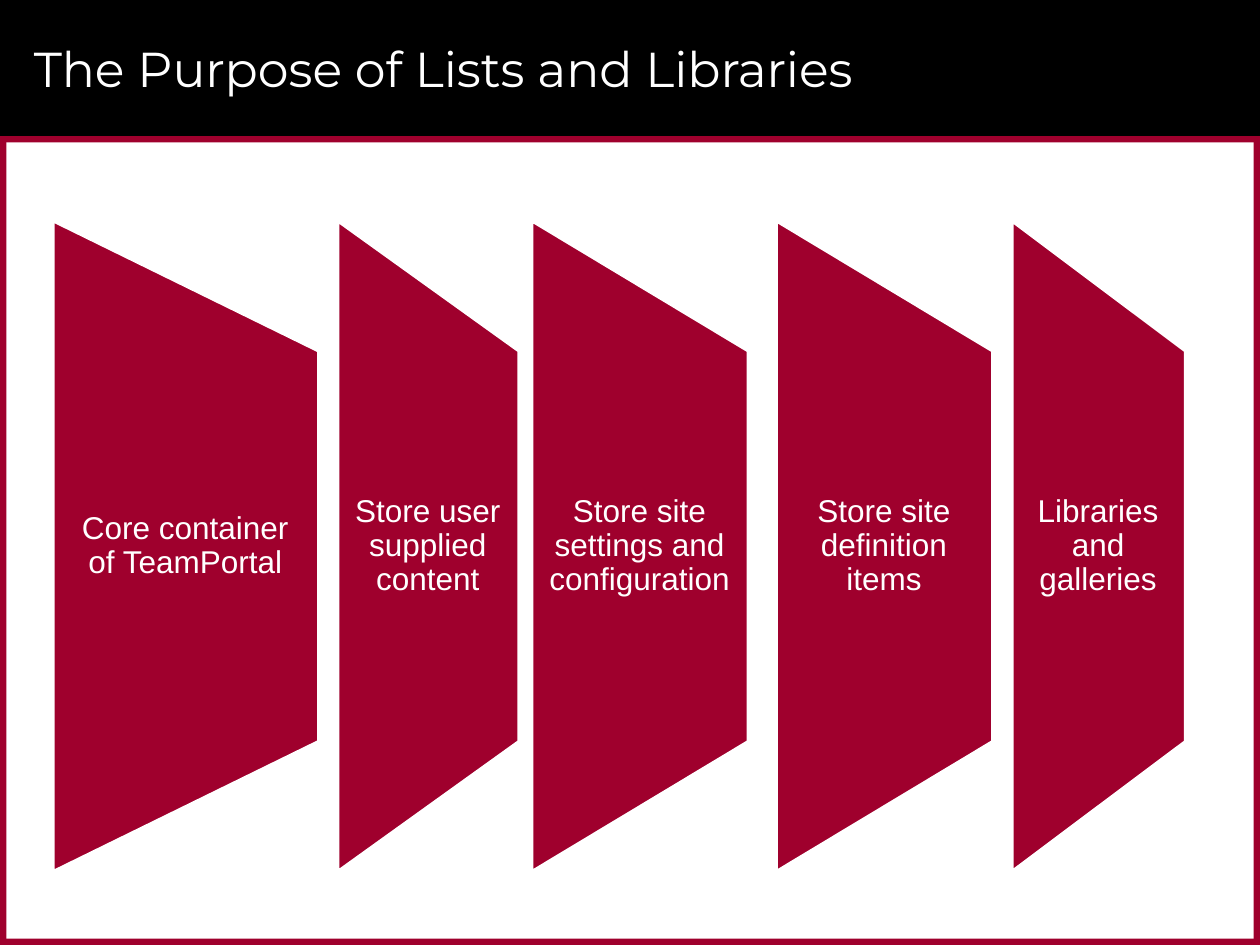
from dataclasses import dataclass

from pptx import Presentation
from pptx.dml.color import RGBColor
from pptx.enum.shapes import MSO_SHAPE
from pptx.enum.text import MSO_ANCHOR, PP_ALIGN
from pptx.slide import Slide
from pptx.util import Inches, Pt


def color(fmt, code):
    fmt.rgb = RGBColor.from_string(code)


def write(frame, text, font="Arial", size=18, ink="FFFFFF",
          align=PP_ALIGN.LEFT, space=1.0, sides=(0.1, 0.1)):
    frame.word_wrap = True
    frame.vertical_anchor = MSO_ANCHOR.MIDDLE
    frame.margin_left, frame.margin_right = map(Inches, sides)
    frame.margin_top = frame.margin_bottom = 0
    para = frame.paragraphs[0]
    para.alignment = align
    para.line_spacing = space
    run = para.add_run()
    run.text = text
    run.font.name = font
    run.font.size = Pt(size)
    color(run.font.color, ink)


@dataclass
class Deck:
    """Holds the style and the current slide."""
    slide: Slide
    red: str = "9F002D"
    black: str = "000000"
    white: str = "FFFFFF"

    def shape(self, kind, box, fill):
        item = self.slide.shapes.add_shape(kind, *map(Inches, box))
        item.shadow.inherit = False
        item.fill.solid()
        color(item.fill.fore_color, fill)
        item.line.fill.background()
        return item

    def bar(self, box, fill):
        return self.shape(MSO_SHAPE.RECTANGLE, box, fill)

    def label(self, text, box, **style):
        item = self.slide.shapes.add_textbox(*map(Inches, box))
        write(item.text_frame, text, ink=self.white, **style)

    def panel(self, text, left, width, top=1.75, height=5.17):
        shift = (height - width) / 2
        box = (left - shift, top + shift, height, width)
        item = self.shape(MSO_SHAPE.FLOWCHART_MANUAL_OPERATION, box, self.red)
        item.rotation = 270
        color(item.line.color, self.white)
        item.line.width = Pt(2)
        self.label(text, (left, top + height / 5, width, height * 0.6),
                   align=PP_ALIGN.CENTER, space=0.9, sides=(0.12, 0.13))


def main():
    prs = Presentation()
    prs.slide_width, prs.slide_height = Inches(10), Inches(7.5)
    deck = Deck(prs.slides.add_slide(prs.slide_layouts[6]))

    head, edge = 1.08, 0.05
    deck.bar((0, 0, 10, head), deck.black)
    for top in (head, 7.5 - edge):
        deck.bar((0, top, 10, edge), deck.red)
    for left in (0, 10 - edge):
        deck.bar((left, head, edge, 7.5 - head), deck.red)
    deck.label("The Purpose of Lists and Libraries", (0.17, 0.08, 9.42, 0.92),
               font="Montserrat", size=28)

    panels = [
        ("Core container of TeamPortal", 0.42, 2.11),
        ("Store user supplied content", 2.68, 1.44),
        ("Store site settings and configuration", 4.22, 1.72),
        ("Store site definition items", 6.16, 1.72),
        ("Libraries and galleries", 8.03, 1.38),
    ]
    for text, left, width in panels:
        deck.panel(text, left, width)
    prs.save("out.pptx")


if __name__ == "__main__":
    main()
